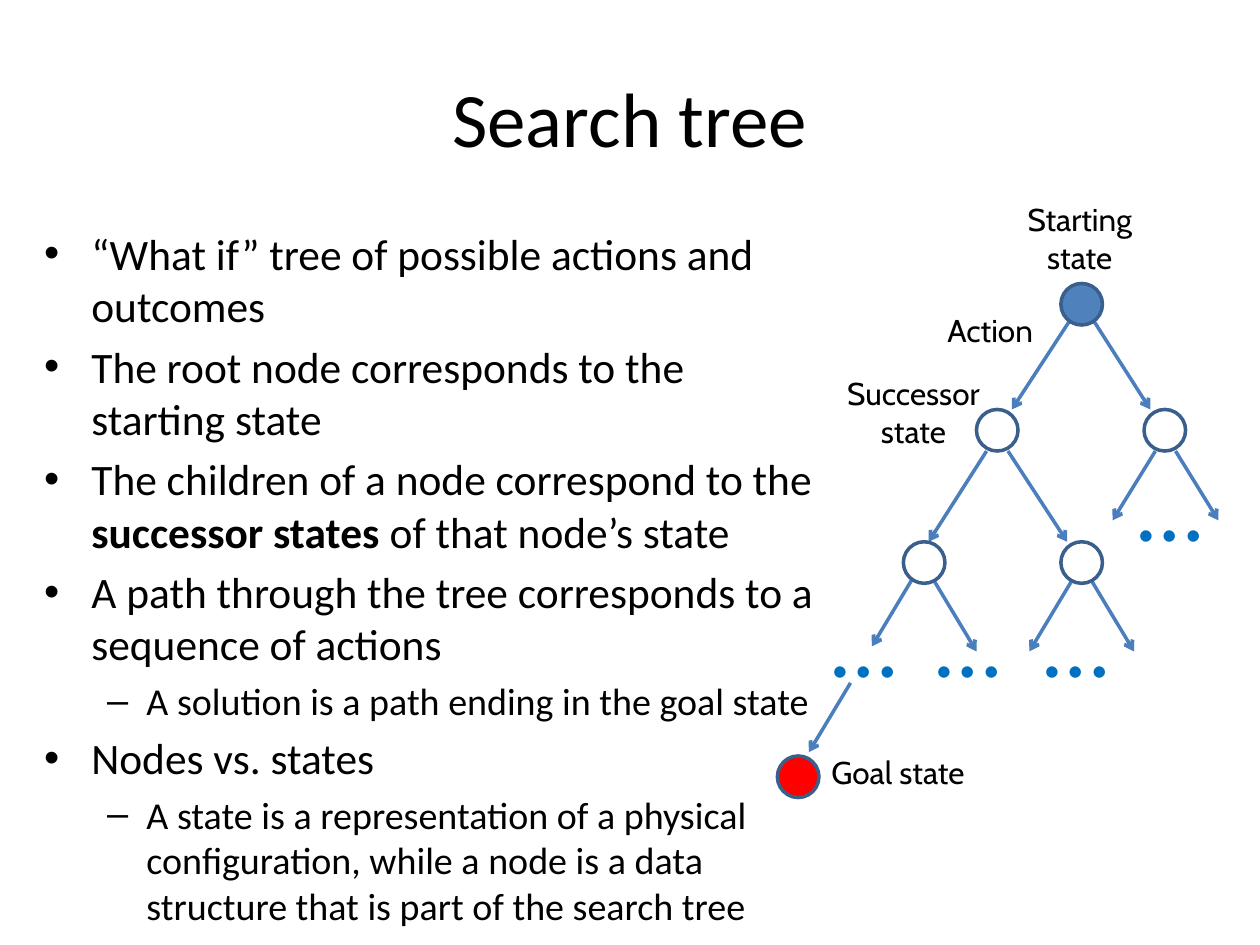
from pptx import Presentation
from pptx.dml.color import RGBColor
from pptx.enum.shapes import MSO_CONNECTOR, MSO_SHAPE
from pptx.enum.text import MSO_ANCHOR, MSO_AUTO_SIZE, PP_ALIGN
from pptx.oxml.ns import qn
from pptx.util import Inches, Pt
from lxml import etree

OVAL, STRAIGHT = MSO_SHAPE.OVAL, MSO_CONNECTOR.STRAIGHT
CENTER, LEFT = PP_ALIGN.CENTER, PP_ALIGN.LEFT
MIDDLE, NO_FIT = MSO_ANCHOR.MIDDLE, MSO_AUTO_SIZE.NONE

THEME = {
    "font": "Calibri", "label_font": "Cabin",
    "text": "000000", "dots": "0070C0", "arrow": "4B7EBC", "outline": "3A5F8C",
    "start": "4F81BD", "open": "FFFFFF", "goal": "FF0000",
    "title_size": 44, "body_sizes": (24.8, 21.7), "label_size": 18, "dots_size": 54,
    "line_width": 2,
}

# Content: (level, runs as (text, bold))
TITLE = "Search tree"
BULLETS = [
    (0, [("“What if” tree of possible actions and outcomes", False)]),
    (0, [("The root node corresponds to the starting state", False)]),
    (0, [("The children of a node correspond to the ", False),
         ("successor states", True), (" of that node’s state", False)]),
    (0, [("A path through the tree corresponds to a sequence of actions", False)]),
    (1, [("A solution is a path ending in the goal state", False)]),
    (0, [("Nodes vs. states", False)]),
    (1, [("A state is a representation of a physical configuration, while a node "
          "is a data structure that is part of the search tree", False)]),
]

# Tree: nodes as (left, top, fill); arrows as (x1, y1, x2, y2)
NODE_SIZE = 0.33
NODES = [
    (8.42, 2.25, "start"),
    (7.75, 3.25, "open"), (9.08, 3.25, "open"),
    (7.17, 4.3, "open"), (8.42, 4.3, "open"),
    (6.17, 6, "goal"),
]
ARROWS = [
    (8.5, 2.53, 8.03, 3.25), (8.67, 2.53, 9.13, 3.25),
    (7.83, 3.58, 7.37, 4.3), (8, 3.58, 8.47, 4.3),
    (9.17, 3.58, 8.83, 4.13), (9.33, 3.58, 9.67, 4.13),
    (7.25, 4.58, 6.92, 5.13), (7.42, 4.62, 7.75, 5.17),
    (8.5, 4.62, 8.17, 5.17), (8.67, 4.62, 9, 5.17),
    (6.75, 5.42, 6.42, 5.97),
]
DOTS = [(6.5, 4.58), (7.33, 4.58), (8.18, 4.58), (8.93, 3.5)]
# Labels: (text, left, top, width, height, wrap, alignment)
LABELS = [
    ("Starting state", 7.97, 1.54, 1.2, 0.71, True, CENTER),
    ("Successor state", 6.58, 2.92, 1.34, 0.71, True, CENTER),
    ("Action", 7.42, 2.42, 0.89, 0.4, False, LEFT),
    ("Goal state", 6.5, 5.93, 1.32, 0.4, False, LEFT),
]


def color(name):
    return RGBColor.from_string(THEME[name])


def set_font(p, size, name="font", fill="text"):
    p.font.size = Pt(size)
    p.font.name = THEME[name]
    p.font.color.rgb = color(fill)


def place(sp, left, top, width, height):
    sp.left, sp.top = Inches(left), Inches(top)
    sp.width, sp.height = Inches(width), Inches(height)


def add_text(s, text, left, top, width, height, wrap, align, size, font, fill):
    tf = s.shapes.add_textbox(*map(Inches, (left, top, width, height))).text_frame
    tf.word_wrap = wrap
    p = tf.paragraphs[0]
    p.text = text
    p.alignment = align
    set_font(p, size, font, fill)


def add_arrow(s, *ends):
    line = s.shapes.add_connector(STRAIGHT, *map(Inches, ends))
    line.line.color.rgb = color("arrow")
    line.line.width = Pt(THEME["line_width"])
    etree.SubElement(line.line._get_or_add_ln(), qn("a:tailEnd"), type="arrow")
    etree.SubElement(line._element.spPr, qn("a:effectLst"))


def add_node(s, left, top, fill):
    sp = s.shapes.add_shape(OVAL, *map(Inches, (left, top, NODE_SIZE, NODE_SIZE)))
    sp.shadow.inherit = False
    sp.fill.solid()
    sp.fill.fore_color.rgb = color(fill)
    sp.line.color.rgb = color("outline")
    sp.line.width = Pt(THEME["line_width"])


def main():
    prs = Presentation()
    prs.slide_width, prs.slide_height = Inches(10), Inches(7.5)
    s = prs.slides.add_slide(prs.slide_layouts[1])

    # Title
    title = s.shapes.title
    place(title, 0.5, 0.3, 9, 1.25)
    title.text_frame.text = TITLE
    title.text_frame.vertical_anchor = MIDDLE
    set_font(title.text_frame.paragraphs[0], THEME["title_size"])

    # Bullet list
    body = s.placeholders[1]
    place(body, 0.25, 1.75, 6.33, 5.5)
    tf = body.text_frame
    tf.auto_size = NO_FIT
    for i, (level, runs) in enumerate(BULLETS):
        p = tf.add_paragraph() if i else tf.paragraphs[0]
        p.level = level
        set_font(p, THEME["body_sizes"][level])
        for text, bold in runs:
            r = p.add_run()
            r.text = text
            # Runs carry the size so the bullets scale with the text
            r.font.size = Pt(THEME["body_sizes"][level])
            if bold:
                r.font.bold = True

    # Search tree
    for left, top in DOTS:
        add_text(s, "…", left, top, 0.74, 1.01, False, LEFT,
                 THEME["dots_size"], "font", "dots")
    for ends in ARROWS:
        add_arrow(s, *ends)
    for label in LABELS:
        add_text(s, *label, THEME["label_size"], "label_font", "text")
    for node in NODES:
        add_node(s, *node)

    prs.save("out.pptx")


if __name__ == "__main__":
    main()
